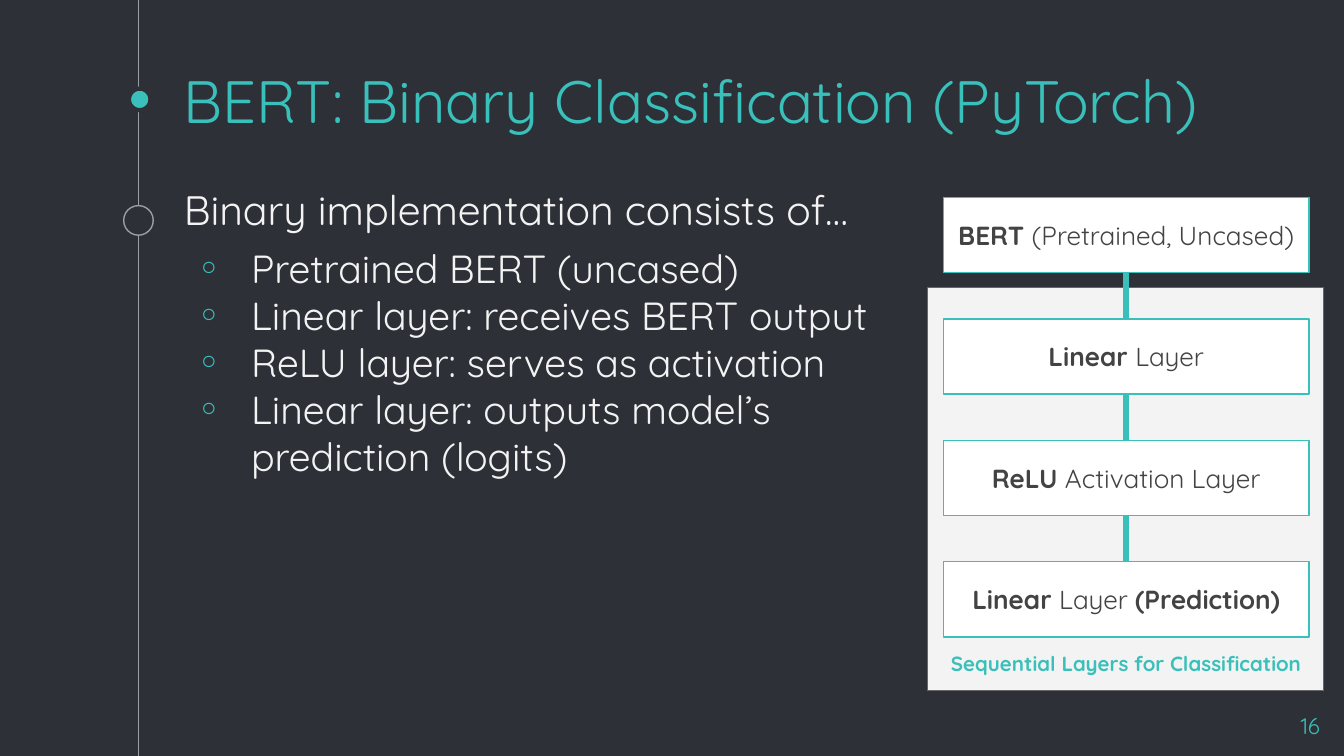
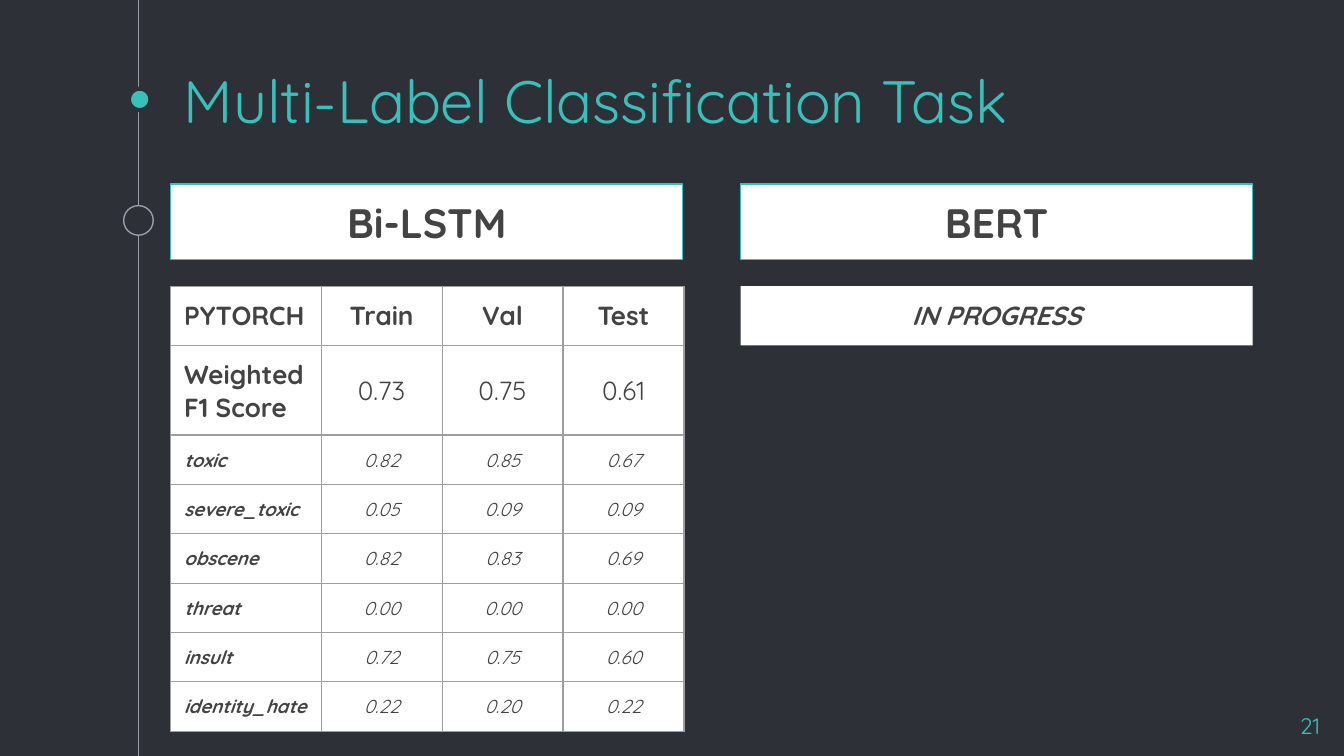
"""Build two slides on text classification: the BERT layer stack and the multi-label scores."""
from lxml.etree import SubElement
from pptx import Presentation
from pptx.dml.color import RGBColor
from pptx.enum.shapes import MSO_CONNECTOR as Connector, MSO_SHAPE as Shape
from pptx.enum.text import MSO_ANCHOR as Anchor, PP_ALIGN as Align
from pptx.oxml.ns import qn
from pptx.oxml.xmlchemy import OxmlElement
from pptx.util import Inches, Pt

color = RGBColor.from_string
NIGHT, TEAL, STEEL = "2E3037", "39C0BA", "999FA9"
WHITE, PALE, INK = "FFFFFF", "F3F3F3", "434343"
PANEL_EDGE, GRID = "666666", "9E9E9E"
FONT = "Quicksand"
WIDTH, HEIGHT = 10, 10 * 9 / 16
BOLD, ITALIC = {"bold": True}, {"italic": True}
BOLD_ITALIC = BOLD | ITALIC


def draw(slide, kind, at, fill=None, line=None, width=0.75):
    left, top, wide, high = map(Inches, at)
    if kind == "text":
        shape = slide.shapes.add_textbox(left, top, wide, high)
    elif kind == "line":
        shape = slide.shapes.add_connector(Connector.STRAIGHT, left, top, left + wide, top + high)
    else:
        shape = slide.shapes.add_shape(kind, left, top, wide, high)
        shape.line.fill.background()
    if fill:
        shape.fill.solid()
        shape.fill.fore_color.rgb = color(fill)
    if line:
        shape.line.color.rgb = color(line)
        shape.line.width = Pt(width)
    if kind != "text":
        SubElement(shape._element.spPr, qn("a:effectLst"))
    if kind != "line":
        shape.text_frame.word_wrap = True
    return shape


def write(holder, runs, size, ink=INK, align=Align.LEFT, anchor=Anchor.TOP, new=False):
    frame = getattr(holder, "text_frame", holder)
    settings = {f"margin_{side}": Inches(0.1) for side in ("left", "right", "top", "bottom")}
    for name, value in (settings | {"vertical_anchor": anchor}).items():
        setattr(holder, name, value)
    paragraph = frame.add_paragraph() if new else frame.paragraphs[0]
    paragraph.alignment = align
    for text, style in runs:
        run = paragraph.add_run()
        run.text = text
        run.font.color.rgb = color(ink)
        for name, value in ({"name": FONT, "size": Pt(size)} | style).items():
            setattr(run.font, name, value)
    return paragraph


presentation = Presentation()
presentation.slide_width, presentation.slide_height = Inches(WIDTH), Inches(HEIGHT)

slides = []
for title, number in [("BERT: Binary Classification (PyTorch)", "16"),
                      ("Multi-Label Classification Task", "21")]:
    slide = presentation.slides.add_slide(presentation.slide_layouts[6])
    slide.background.fill.solid()
    slide.background.fill.fore_color.rgb = color(NIGHT)
    draw(slide, "line", (1.03, 0, 0, HEIGHT), line=STEEL)
    draw(slide, Shape.OVAL, (0.96, 0.66, 0.16, 0.16), TEAL, NIGHT, 2.25)
    draw(slide, Shape.OVAL, (0.92, 1.53, 0.22, 0.22), NIGHT, STEEL)
    title_box = draw(slide, "text", (1.27, 0.2, 8.65, 1.08))
    write(title_box.text_frame, [(title, {})], 32, TEAL, anchor=Anchor.MIDDLE)
    number_box = draw(slide, "text", (9.32, 5.2, 0.6, 0.34))
    write(number_box.text_frame, [(number, {})], 12, TEAL, Align.RIGHT)
    slides.append(slide)
bert_slide, scores_slide = slides

draw(bert_slide, Shape.RECTANGLE, (6.9, 2.14, 2.95, 3), PALE, PANEL_EDGE)
body = draw(bert_slide, "text", (1.27, 1.27, 5.36, 4.07)).text_frame
write(body, [("Binary implementation consists of…", {})], 22, PALE).space_before = Pt(6)
bullets = ["Pretrained BERT (uncased)", "Linear layer: receives BERT output",
           "ReLU layer: serves as activation", "Linear layer: outputs model’s prediction (logits)"]
for index, bullet in enumerate(bullets):
    paragraph = write(body, [(bullet, {})], 21, PALE, new=True)
    paragraph.space_before = Pt(0 if index else 6)
    properties = paragraph._p.get_or_add_pPr()
    properties.set("marL", str(Inches(0.5)))
    properties.set("indent", str(Inches(-0.4)))
    SubElement(SubElement(properties, qn("a:buClr")), qn("a:srgbClr"), val=TEAL)
    SubElement(properties, qn("a:buFont"), typeface=FONT)
    SubElement(properties, qn("a:buChar"), char="◦")

layers = [[("BERT ", BOLD), ("(Pretrained, Uncased)", {})],
          [("Linear ", BOLD), ("Layer", {})],
          [("ReLU ", BOLD), ("Activation Layer", {})],
          [("Linear ", BOLD), ("Layer ", {}), ("(Prediction)", BOLD)]]
layer_pitch = (4.18 - 1.47) / 3
for index, runs in enumerate(layers):
    top = 1.47 + layer_pitch * index
    layer = draw(bert_slide, Shape.RECTANGLE, (7.02, top, 2.72, 0.56), WHITE, TEAL)
    write(layer.text_frame, runs, 14, align=Align.CENTER, anchor=Anchor.MIDDLE)
    if index:
        draw(bert_slide, "line", (8.38, top - 0.34, 0, 0.34), line=TEAL, width=3)
caption = draw(bert_slide, "text", (6.84, 4.75, 3.08, 0.39))
write(caption.text_frame, [("Sequential Layers for Classification", BOLD)], 11, TEAL, Align.CENTER)

for model, left in [("BERT", 5.51), ("Bi-LSTM", 1.27)]:
    heading = draw(scores_slide, Shape.RECTANGLE, (left, 1.37, 3.81, 0.56), WHITE, TEAL)
    write(heading.text_frame, [(model, BOLD)], 22, align=Align.CENTER, anchor=Anchor.MIDDLE)
status = draw(scores_slide, Shape.RECTANGLE, (5.51, 2.13, 3.81, 0.44), WHITE)
write(status.text_frame, [("IN PROGRESS", BOLD_ITALIC)], 14, align=Align.CENTER)

scores = [("PYTORCH", "Train", "Val", "Test"),
          ("Weighted F1 Score", "0.73", "0.75", "0.61"),
          ("toxic", "0.82", "0.85", "0.67"),
          ("severe_toxic", "0.05", "0.09", "0.09"),
          ("obscene", "0.82", "0.83", "0.69"),
          ("threat", "0.00", "0.00", "0.00"),
          ("insult", "0.72", "0.75", "0.60"),
          ("identity_hate", "0.22", "0.20", "0.22")]
widths = [1.12] + [0.9] * 3
heights = [0.44, 0.66] + [0.36] * 6
table = scores_slide.shapes.add_table(len(scores), len(widths), Inches(1.27), Inches(2.13),
                                      Inches(sum(widths)), Inches(sum(heights))).table
table.first_row = table.horz_banding = False
for column, width in zip(table.columns, widths):
    column.width = Inches(width)
for row_index, (row, height) in enumerate(zip(scores, heights)):
    table.rows[row_index].height = Inches(height)
    for column_index, text in enumerate(row):
        cell = table.cell(row_index, column_index)
        is_value = row_index > 0 and column_index > 0
        is_label = row_index > 1
        write(cell, [(text, {"bold": not is_value, "italic": is_label})], 10 if is_label else 14,
              align=Align.CENTER if column_index else Align.LEFT,
              anchor=Anchor.MIDDLE if is_value else Anchor.TOP)
        cell.fill.solid()
        cell.fill.fore_color.rgb = color(WHITE)
        for position, edge in enumerate(("a:lnL", "a:lnR", "a:lnT", "a:lnB")):
            border = OxmlElement(edge)
            border.set("w", str(Pt(0.75)))
            SubElement(SubElement(border, qn("a:solidFill")), qn("a:srgbClr"), val=GRID)
            cell._tc.get_or_add_tcPr().insert(position, border)

presentation.save("out.pptx")
